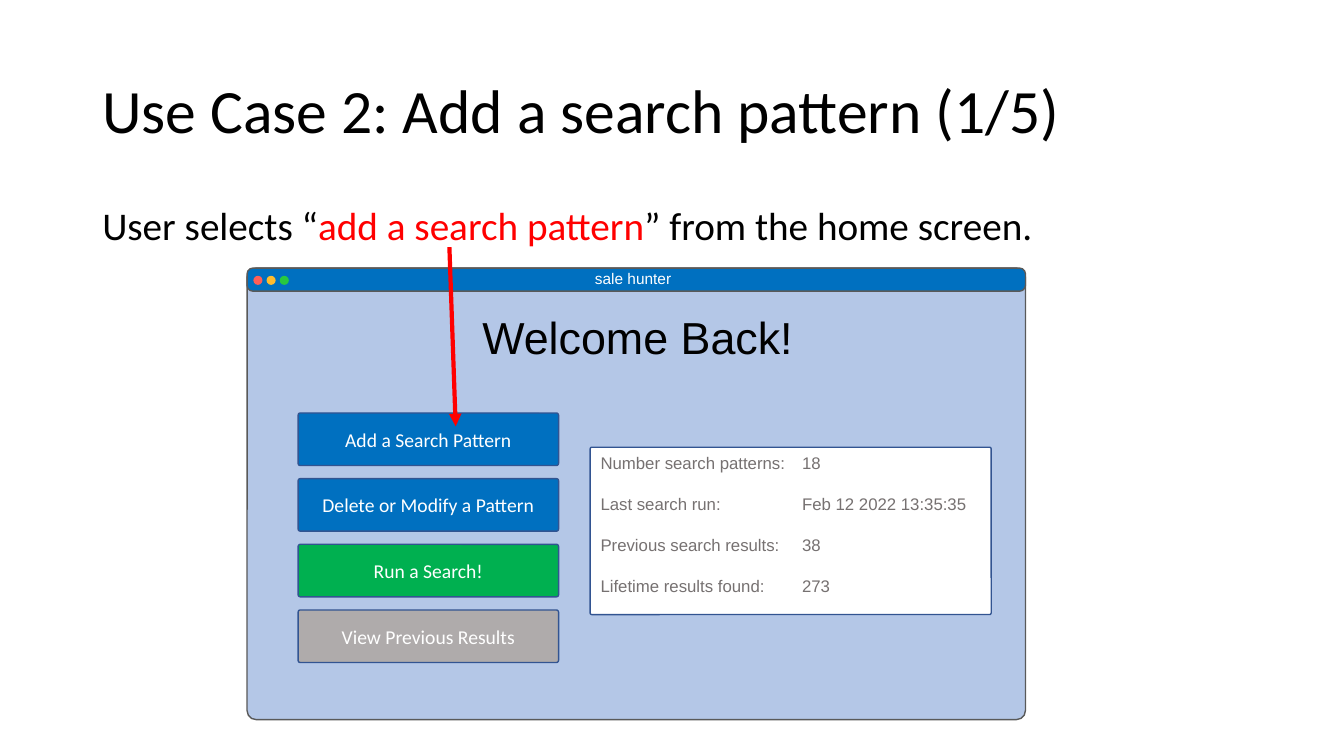
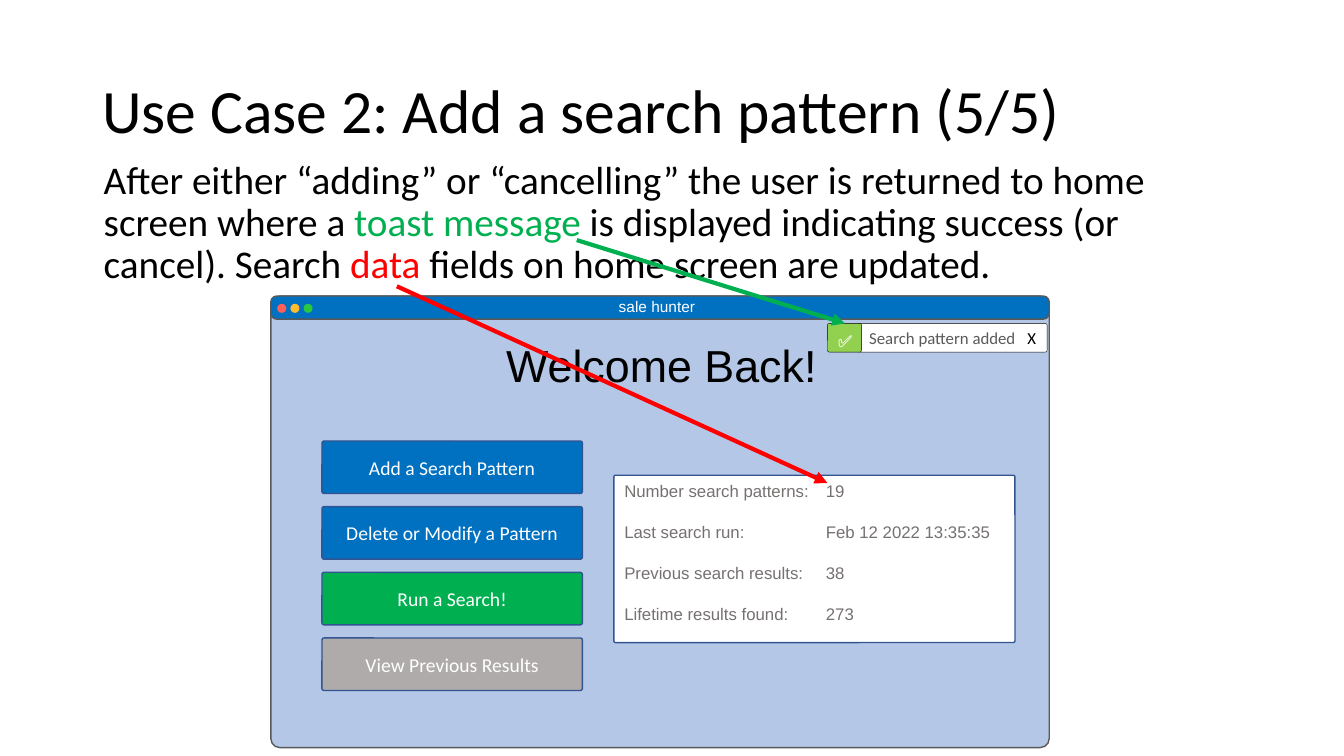
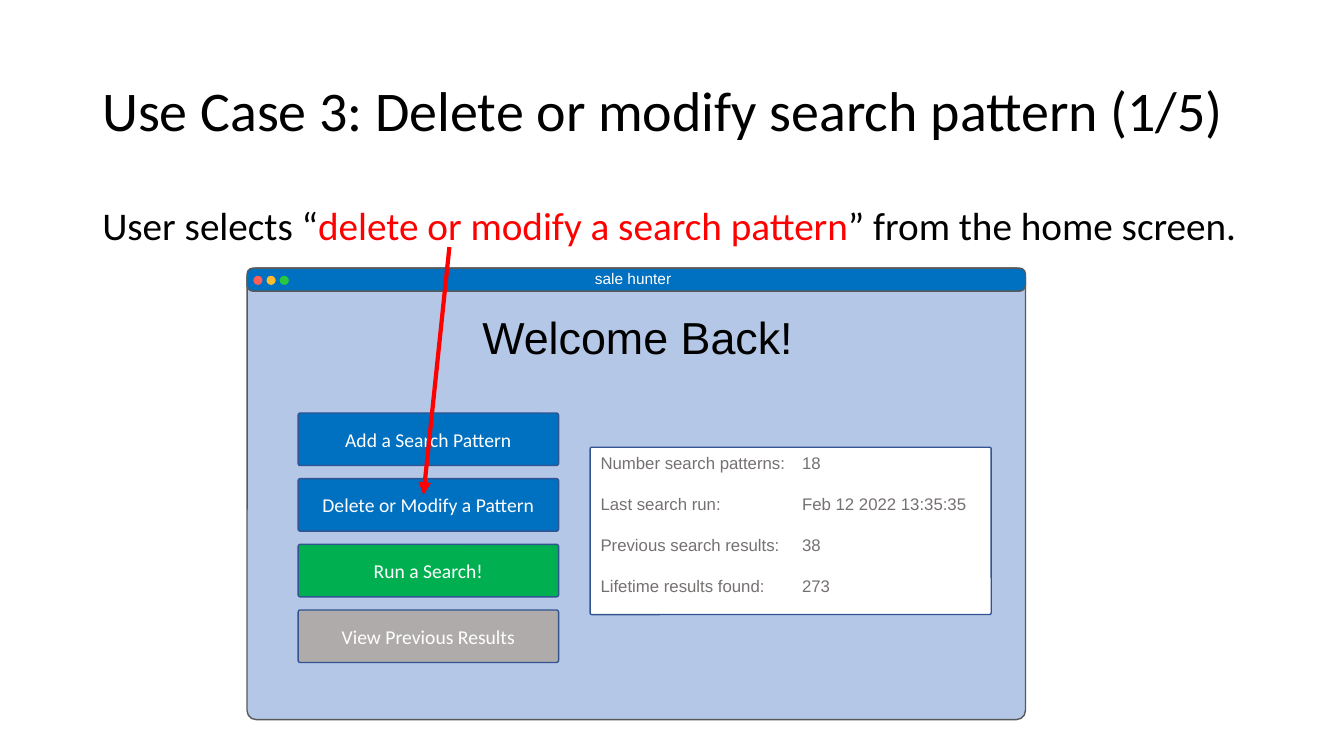
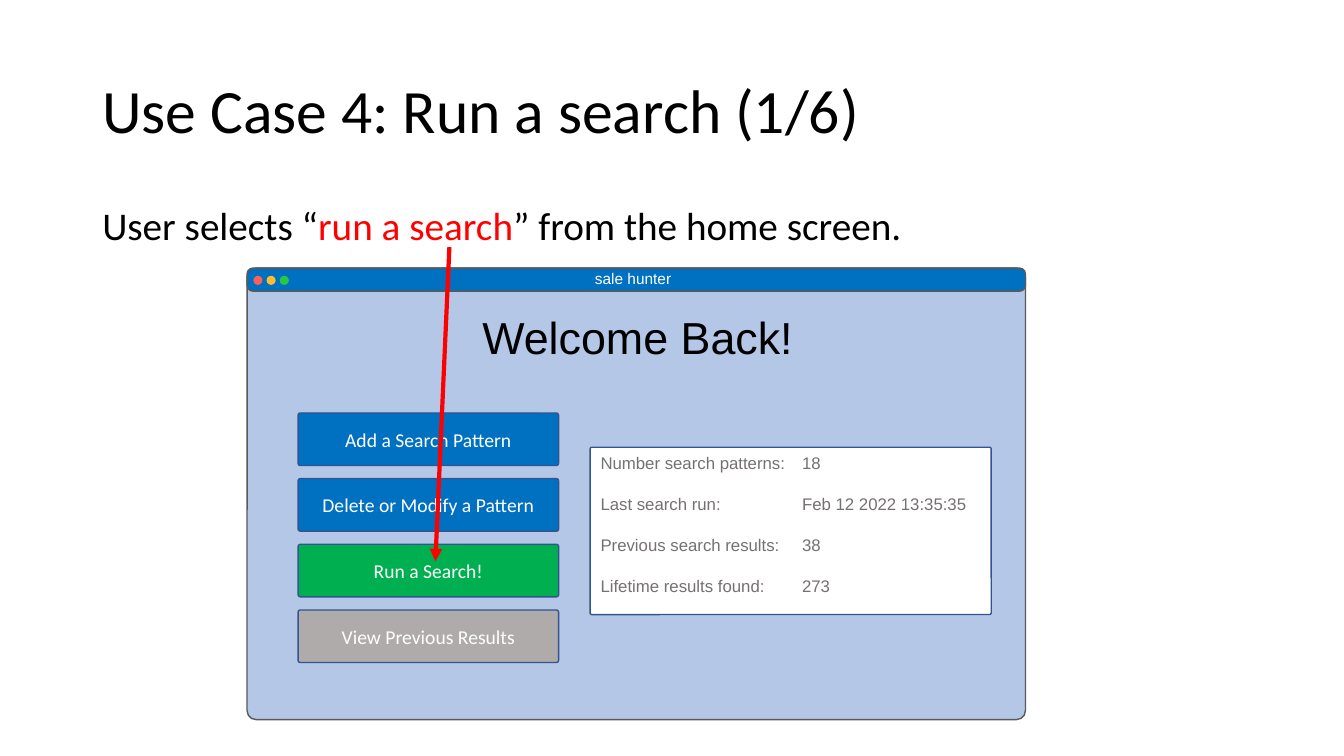
from dataclasses import dataclass

from lxml import etree
from pptx import Presentation
from pptx.dml.color import RGBColor
from pptx.enum.shapes import MSO_CONNECTOR, MSO_SHAPE
from pptx.enum.text import MSO_ANCHOR, PP_ALIGN
from pptx.oxml.ns import qn
from pptx.util import Pt

ROUNDED, OVAL = MSO_SHAPE.ROUNDED_RECTANGLE, MSO_SHAPE.OVAL
STRAIGHT = MSO_CONNECTOR.STRAIGHT
TOP, MIDDLE = MSO_ANCHOR.TOP, MSO_ANCHOR.MIDDLE
LEFT, CENTER = PP_ALIGN.LEFT, PP_ALIGN.CENTER


@dataclass(frozen=True)
class Theme:
    black: str = "000000"
    white: str = "FFFFFF"
    red: str = "FF0000"
    green: str = "00B050"
    blue: str = "0070C0"
    gray: str = "AFABAB"
    window: str = "B4C7E7"
    frame: str = "595959"
    edge: str = "325491"
    muted: str = "767171"
    badge: str = "92D050"
    dots: tuple = ("FF5F57", "FFBC2E", "28C840")
    body_font: str = "Calibri"
    window_font: str = "Arial"
    title_size: int = 44
    long_title_size: int = 40
    body_size: int = 28
    welcome_size: int = 32
    button_size: int = 14
    small_size: int = 12
    caption_size: int = 11


THEME = Theme()
BUTTONS = (
    ("Add a Search Pattern", THEME.blue),
    ("Delete or Modify a Pattern", THEME.blue),
    ("Run a Search!", THEME.green),
    ("View Previous Results", THEME.gray),
)
HOME_AT = (176.5, 191.5)
RETURN_AT = (193.5, 211.5)
SENTENCE_AREA = (66, 144, 828, 41)
SELECT_START = (321, 176.5)


class Storyboard:
    def __init__(self, theme):
        self.theme = theme
        self.deck = Presentation()
        self.deck.slide_width, self.deck.slide_height = Pt(960), Pt(540)
        self.page = None

    def add_page(self):
        self.page = self.deck.slides.add_slide(self.deck.slide_layouts[6])

    def format_runs(self, para, size, font, color):
        for span in para.runs:
            span.font.size = Pt(size)
            span.font.name = font
            span.font.color.rgb = RGBColor.from_string(color)

    def write_spans(self, para, spans, size):
        """Fill a paragraph with (text, colour) spans."""
        for text, color in spans:
            span = para.add_run()
            span.text = text
            span.font.size = Pt(size)
            span.font.name = self.theme.body_font
            span.font.color.rgb = RGBColor.from_string(color)

    def tab_stop(self, para, position):
        tabs = etree.SubElement(para._p.get_or_add_pPr(), qn("a:tabLst"))
        etree.SubElement(tabs, qn("a:tab"), pos=str(int(Pt(position))), algn="l")

    def shape(self, parent, kind, area, fill, line=None, width=1, corner=None):
        box = parent.shapes.add_shape(kind, *map(Pt, area))
        box.shadow.inherit = False
        box.fill.solid()
        box.fill.fore_color.rgb = RGBColor.from_string(fill)
        if line:
            box.line.color.rgb = RGBColor.from_string(line)
            box.line.width = Pt(width)
        else:
            box.line.fill.background()
        if corner is not None:
            box.adjustments[0] = corner
        return box

    def paragraph_box(self, area, spans, size, anchor=TOP, before=0):
        box = self.page.shapes.add_textbox(*map(Pt, area))
        frame = box.text_frame
        frame.word_wrap = True
        frame.vertical_anchor = anchor
        para = frame.paragraphs[0]
        para.line_spacing = 0.9
        para.space_before = Pt(before)
        self.write_spans(para, spans, size)

    def title(self, text, size):
        self.paragraph_box((66, 29, 828, 104), [(text, self.theme.black)], size, MIDDLE)

    def sentence(self, spans, area=SENTENCE_AREA):
        self.paragraph_box(area, spans, self.theme.body_size, before=10)

    def label(self, parent, area, text, size, color):
        """Single line centred in its area, in the window font."""
        box = parent.shapes.add_textbox(*map(Pt, area))
        frame = box.text_frame
        frame.word_wrap = False
        frame.text = text
        para = frame.paragraphs[0]
        para.alignment = CENTER
        self.format_runs(para, size, self.theme.window_font, color)

    def button(self, parent, area, text, fill):
        theme = self.theme
        box = self.shape(parent, ROUNDED, area, fill, theme.edge, corner=0.04)
        frame = box.text_frame
        frame.text = text
        para = frame.paragraphs[0]
        para.alignment = CENTER
        self.format_runs(para, theme.button_size, theme.body_font, theme.white)

    def statistics(self, parent, area, pattern_count):
        theme = self.theme
        box = self.shape(parent, ROUNDED, area, theme.white, theme.edge, corner=0.01)
        frame = box.text_frame
        frame.vertical_anchor = TOP
        frame.text = "\n".join((
            f"Number search patterns:\t{pattern_count}",
            "Last search run:\tFeb 12 2022 13:35:35",
            "Previous search results:\t38",
            "Lifetime results found:\t273",
        ))
        for para in frame.paragraphs:
            para.alignment = LEFT
            para.space_after = Pt(14.9)
            self.tab_stop(para, 144)
            self.format_runs(para, theme.small_size, theme.window_font, theme.muted)

    def home_screen(self, left, top, pattern_count):
        theme = self.theme
        group = self.page.shapes.add_group_shape()
        self.shape(group, ROUNDED, (left, top, 556, 322.5), theme.window,
                   theme.frame, corner=0.02)
        self.shape(group, ROUNDED, (left, top, 556, 16.5), theme.blue,
                   theme.frame, corner=0.25)
        for index, color in enumerate(theme.dots):
            self.shape(group, OVAL, (left + 4.5 + 9.4 * index, top + 5.5, 6.5, 6.5), color)
        self.label(group, (left + 239, top - 3, 73.5, 21), "sale hunter",
                   theme.caption_size, theme.white)
        self.label(group, (left + 160, top + 26.5, 238, 46), "Welcome Back!",
                   theme.welcome_size, theme.black)
        for index, (text, fill) in enumerate(BUTTONS):
            self.button(group, (left + 36.5, top + 103.5 + 46.9 * index, 186, 37.5),
                        text, fill)
        self.statistics(group, (left + 245, top + 128, 286.5, 119.5), pattern_count)

    def toast(self, left, top):
        theme = self.theme
        group = self.page.shapes.add_group_shape()
        message = self.shape(group, ROUNDED, (left + 21.5, top, 135.5, 20.5),
                             theme.white, theme.black, 0.25, 0.07)
        frame = message.text_frame
        frame.margin_left, frame.margin_right = Pt(8), 0
        para = frame.paragraphs[0]
        para.alignment = LEFT
        self.tab_stop(para, 113)
        self.write_spans(para, [("Search pattern added\t", theme.frame),
                                ("X", theme.black)], theme.small_size)
        badge = self.shape(group, ROUNDED, (left, top, 24.5, 20.5),
                           theme.badge, theme.black, 0.25, 0.07)
        frame = badge.text_frame
        frame.margin_top = Pt(7.2)
        frame.text = "✅"
        para = frame.paragraphs[0]
        para.alignment = CENTER
        self.format_runs(para, theme.small_size, theme.body_font, theme.white)

    def arrow(self, start, end, color):
        line = self.page.shapes.add_connector(STRAIGHT, *map(Pt, (*start, *end)))
        line.line.color.rgb = RGBColor.from_string(color)
        line.line.width = Pt(3)
        etree.SubElement(line.line._get_or_add_ln(), qn("a:tailEnd"), type="triangle")
        etree.SubElement(line._element.spPr, qn("a:effectLst"))

    def selection_page(self, title, choice, target, title_size):
        """Page on which the user picks one button of the home screen."""
        theme = self.theme
        self.add_page()
        self.title(title, title_size)
        self.sentence([("User selects “", theme.black), (choice, theme.red),
                       ("” from the home screen.", theme.black)])
        self.home_screen(*HOME_AT, 18)
        self.arrow(SELECT_START, target, theme.red)

    def return_page(self):
        """Page on which the user is back on the updated home screen."""
        theme = self.theme
        self.add_page()
        self.title("Use Case 2: Add a search pattern (5/5)", theme.title_size)
        self.sentence([
            ("After either “adding” or “cancelling” the user is returned to home "
             "screen where a ", theme.black),
            ("toast message ", theme.green),
            ("is displayed indicating success (or cancel). Search ", theme.black),
            ("data", theme.red),
            (" fields on home screen are updated.", theme.black),
        ], (67, 111, 768, 371))
        self.home_screen(*RETURN_AT, 19)
        self.toast(591, 231)
        self.arrow((412, 171.5), (603.5, 231), theme.green)
        self.arrow((283.5, 204.5), (591, 345), theme.red)


def main():
    board = Storyboard(THEME)
    board.selection_page("Use Case 2: Add a search pattern (1/5)",
                         "add a search pattern", (325.5, 304.5), THEME.title_size)
    board.return_page()
    board.selection_page("Use Case 3: Delete or modify search pattern (1/5)",
                         "delete or modify a search pattern", (302.5, 353.5),
                         THEME.long_title_size)
    board.selection_page("Use Case 4: Run a search (1/6)",
                         "run a search", (311, 401), THEME.title_size)
    board.deck.save("out.pptx")


if __name__ == "__main__":
    main()
